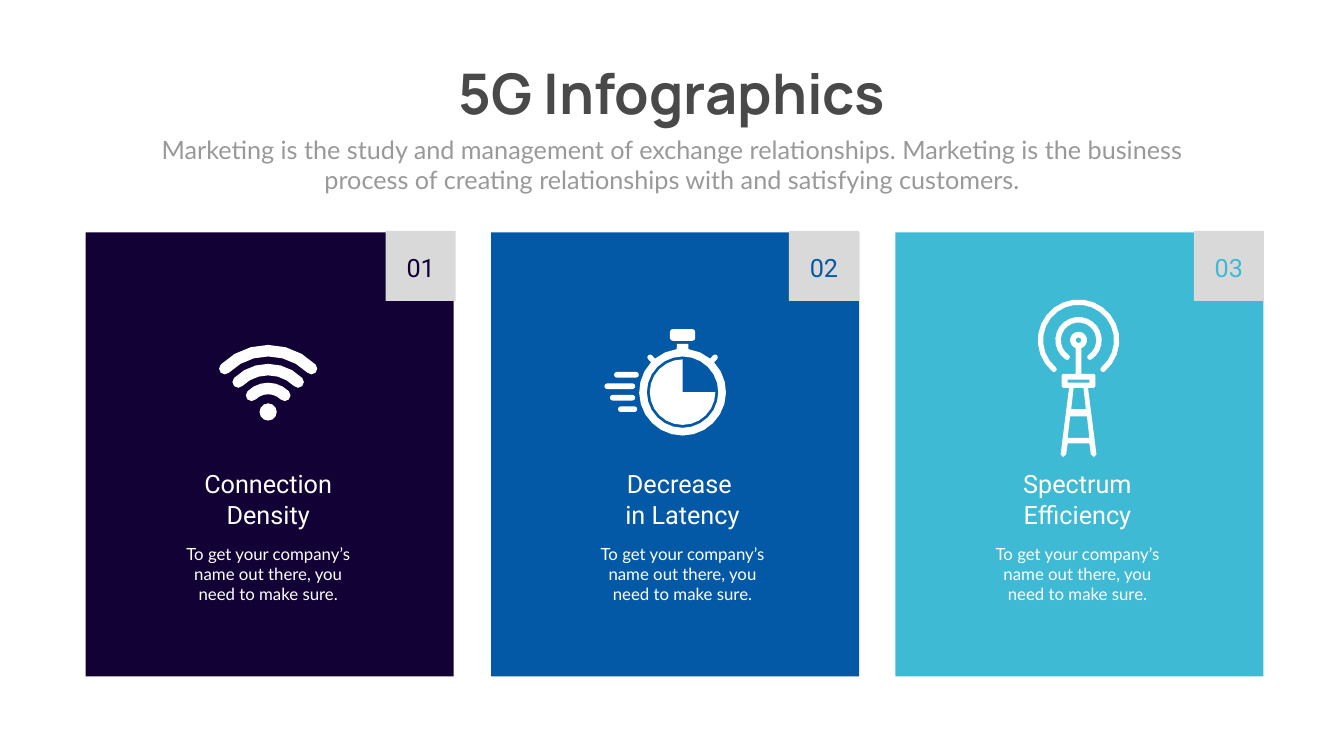
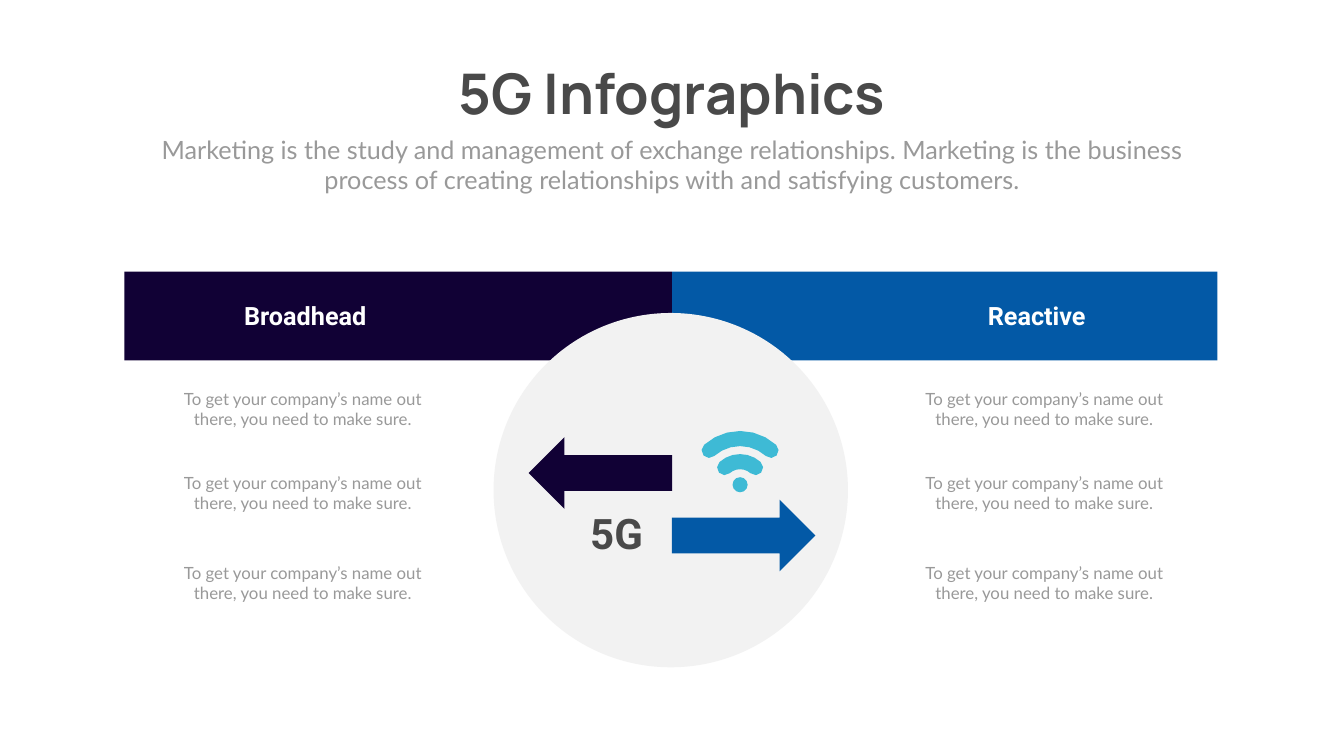
from collections.abc import Callable
from dataclasses import dataclass
from math import cos, radians, sin

from pptx import Presentation
from pptx.dml.color import RGBColor
from pptx.enum.shapes import MSO_SHAPE
from pptx.enum.text import MSO_ANCHOR, MSO_AUTO_SIZE, PP_ALIGN
from pptx.shapes.autoshape import Shape
from pptx.slide import Slide
from pptx.util import Pt

RECT = MSO_SHAPE.RECTANGLE
ROUND = MSO_SHAPE.ROUNDED_RECTANGLE
OVAL = MSO_SHAPE.OVAL
ARROW = MSO_SHAPE.DOWN_ARROW
CENTER = PP_ALIGN.CENTER
LEFT = PP_ALIGN.LEFT
TOP = MSO_ANCHOR.TOP
GROW = MSO_AUTO_SIZE.SHAPE_TO_FIT_TEXT

Point = tuple[float, float]
Box = tuple[float, float, float, float]


# Colours, fonts and type sizes
@dataclass(frozen=True)
class Theme:
    navy: str = "110135"
    blue: str = "0359A6"
    cyan: str = "3EBAD5"
    white: str = "FFFFFF"
    dark: str = "494949"
    gray: str = "999999"
    tag: str = "D9D9D9"
    pale: str = "F2F2F2"
    title: str = "Manrope"
    head: str = "Roboto"
    body: str = "Lato"
    huge: int = 80
    large: int = 60
    mid: int = 36
    small: int = 24


THEME = Theme()
TITLE = "5G Infographics"
INTRO = ("Marketing is the study and management of exchange relationships. "
         "Marketing is the business process of creating relationships with "
         "and satisfying customers.")
NOTE = "To get your company’s name out there, you need to make sure."


# Text and shapes
def write(shape: Shape, text: str, *, font: str = THEME.body,
          size: int = THEME.small, color: str = THEME.gray,
          bold: bool = False, align: PP_ALIGN = CENTER,
          wrap: bool = True) -> None:
    frame = shape.text_frame
    frame.text = text
    frame.word_wrap = wrap
    frame.auto_size = GROW
    frame.vertical_anchor = TOP
    for para in frame.paragraphs:
        para.alignment = align
        for run in para.runs:
            run.font.name = font
            run.font.size = Pt(size)
            run.font.bold = bold
            run.font.color.rgb = RGBColor.from_string(color)


def label(slide: Slide, box: Box, text: str, **style) -> None:
    write(slide.shapes.add_textbox(*map(Pt, box)), text, **style)


def paint(shape: Shape, color: str) -> Shape:
    shape.shadow.inherit = False
    shape.fill.solid()
    shape.fill.fore_color.rgb = RGBColor.from_string(color)
    shape.line.fill.background()
    return shape


def block(slide: Slide, kind: MSO_SHAPE, box: Box, color: str) -> Shape:
    return paint(slide.shapes.add_shape(kind, *map(Pt, box)), color)


def dot(slide: Slide, x: float, y: float, r: float, color: str) -> None:
    block(slide, OVAL, (x - r, y - r, 2 * r, 2 * r), color)


def shift(points: list[Point], x: float, y: float) -> list[Point]:
    return [(x + dx, y + dy) for dx, dy in points]


def trace(slide: Slide, x: float, y: float, color: str,
          *rings: list[Point]) -> None:
    """Fill closed rings given around (x, y); later rings are holes."""
    first, *holes = [[(Pt(a), Pt(b)) for a, b in shift(ring, x, y)]
                     for ring in rings]
    pen = slide.shapes.build_freeform(*first[0])
    pen.add_line_segments(first[1:])
    for hole in holes:
        pen.move_to(*hole[0])
        pen.add_line_segments(hole[1:])
    paint(pen.convert_to_shape(), color)


# Curves: angles run clockwise from straight up
def polar(r: float, angle: float) -> Point:
    return r * sin(radians(angle)), -r * cos(radians(angle))


def sweep(r: float, start: float, end: float) -> list[Point]:
    steps = max(2, round(abs(end - start) / (15 if r > 11 else 45)))
    return [polar(r, start + (end - start) * i / steps)
            for i in range(steps + 1)]


def wave(slide: Slide, x: float, y: float, r: float, half: float,
         width: float, color: str) -> None:
    """Draw a thick arc with round ends, centred on straight up."""
    cap = width / 2
    trace(slide, x, y, color,
          sweep(r + cap, -half, half)
          + shift(sweep(cap, half, half + 180), *polar(r, half))
          + sweep(r - cap, half, -half)
          + shift(sweep(cap, 180 - half, 360 - half), *polar(r, -half)))


# Icons
def wifi(slide: Slide) -> None:
    x, y = 383, 588.5
    dot(slide, x, y, 12.3, THEME.white)
    for i in range(3):
        wave(slide, x, y, 33.5 + 27 * i, 45, 16.5, THEME.white)


def watch(slide: Slide) -> None:
    x, y = 974.9, 560.2
    block(slide, ROUND, (x - 18, 470.2, 36, 16.6), THEME.white
          ).adjustments[0] = 0.25
    speed = ((877, 35.3), (863.3, 44), (871.2, 36), (882.7, 27.4))
    for i, (left, width) in enumerate(speed):
        bar = block(slide, ROUND, (left, 531.4 + 16.4 * i, width, 8),
                    THEME.white)
        bar.adjustments[0] = 0.5
    trace(slide, x, y, THEME.white, [(0, 0)] + sweep(46.8, 90, 360))
    # Case: stem, then the rim with two round lugs
    rim, lug = 62, 43
    case = [(-8.3, -69.1), (8.3, -69.1)] + sweep(rim, 7.7, lug - 3.5)
    for angle, end in ((lug, 360 - lug - 3.5), (360 - lug, 352.3)):
        case += shift(sweep(4, angle - 90, angle + 90), *polar(68, angle))
        case += sweep(rim, angle + 3.5, end)
    trace(slide, x, y, THEME.white, case, sweep(51, 360, 0))


def cell(top: float, low: float, wide: float, base: float) -> list[Point]:
    return [(-wide, top), (-base, low), (base, low), (wide, top)]


def tower(slide: Slide) -> None:
    x, y = 1540.4, 486
    wave(slide, x, y, 29.2, 146, 7.9, THEME.white)
    wave(slide, x, y, 54.4, 140, 7.6, THEME.white)
    side = [(4, 48), (22, 48), (24, 50), (24, 66), (22, 68), (13.5, 68),
            (25.6, 163), (22, 167), (17.6, 163), (15.5, 147.5)]
    mirror = [(-dx, dy) for dx, dy in reversed(side)]
    trace(slide, x, y, THEME.white,
          sweep(12, -160, 160) + side + mirror,
          sweep(4, 360, 0),
          cell(56.2, 60.5, 15.5, 15.5),
          cell(68, 98.6, 7, 10.5),
          cell(108.7, 139.7, 12, 15.5))


# Repeated parts
@dataclass(frozen=True)
class Card:
    num: str
    head: str
    color: str
    left: float
    tag: float
    mid: float
    icon: Callable[[Slide], None]


@dataclass(frozen=True)
class Side:
    head: str
    color: str
    left: float
    width: float
    mid: float
    text: float
    arrow: Point
    turn: int


CARDS = (
    Card("01", "Connection Density", THEME.navy, 122.4, 550.8, 383, wifi),
    Card("02", "Decrease \vin Latency", THEME.blue, 701.3, 1126.8, 974.7,
         watch),
    Card("03", "Spectrum\nEfficiency", THEME.cyan, 1278.7, 1705, 1538.8,
         tower),
)
SIDES = (
    Side("Broadhead", THEME.navy, 177.8, 782, 436, 432.4, (806.4, 573.1), 90),
    Side("Reactive", THEME.blue, 959.8, 779, 1480.7, 1491.4, (1010.9, 662.4),
         270),
)
ROWS = (552.2, 671.8, 800.6)


def start(deck: Presentation) -> Slide:
    """Add a slide with the shared title and intro."""
    slide = deck.slides.add_slide(deck.slide_layouts[5])
    title = slide.shapes.title
    title.left, title.top, title.width, title.height = map(
        Pt, (622, 80.6, 676, 104.4))
    write(title, TITLE, font=THEME.title, size=THEME.huge, color=THEME.dark,
          bold=True, wrap=False)
    label(slide, (210.2, 187.9, 1499, 94.3), INTRO, size=THEME.mid)
    return slide


def draw_card(slide: Slide, card: Card) -> None:
    block(slide, RECT, (card.left, 331.9, 525.6, 634.3), card.color)
    card.icon(slide)
    label(slide, (card.mid - 129.2, 772.6, 258.4, 94.3), NOTE,
          color=THEME.white)
    label(slide, (card.mid - 117.4, 666, 234.8, 94.3), card.head,
          font=THEME.head, size=THEME.mid, color=THEME.white)
    block(slide, RECT, (card.tag, 329.8, 100, 100), THEME.tag)
    label(slide, (card.tag + 2.9, 356.4, 94.3, 51), card.num,
          font=THEME.head, size=THEME.mid, color=card.color)


def draw_side(slide: Slide, side: Side) -> None:
    label(slide, (side.mid - 147.2, 425.5, 294.4, 51), side.head,
          font=THEME.head, size=THEME.mid, color=THEME.white, bold=True)
    for top in ROWS:
        label(slide, (side.text - 191.2, top, 382.4, 65.5), NOTE)
    arrow = block(slide, ARROW, (*side.arrow, 102.2, 205.2), side.color)
    arrow.rotation = side.turn


def main() -> None:
    deck = Presentation()
    deck.slide_width, deck.slide_height = Pt(1919.52), Pt(1080)

    # Slide 1: three cards
    slide = start(deck)
    for card in CARDS:
        draw_card(slide, card)

    # Slide 2: two sides around a disc
    slide = start(deck)
    for side in SIDES:
        block(slide, RECT, (side.left, 388, side.width, 126.7), side.color)
    dot(slide, 958, 700.2, 253.1, THEME.pale)
    for side in SIDES:
        draw_side(slide, side)
    label(slide, (835.9, 721.4, 90.7, 79.9), "5G", font=THEME.head,
          size=THEME.large, color=THEME.dark, bold=True, align=LEFT,
          wrap=False)
    dot(slide, 1057, 692.5, 10.8, THEME.cyan)
    for r in (33, 66):
        wave(slide, 1057, 692.5, r, 42, 21.6, THEME.cyan)

    deck.save("out.pptx")


if __name__ == "__main__":
    main()
